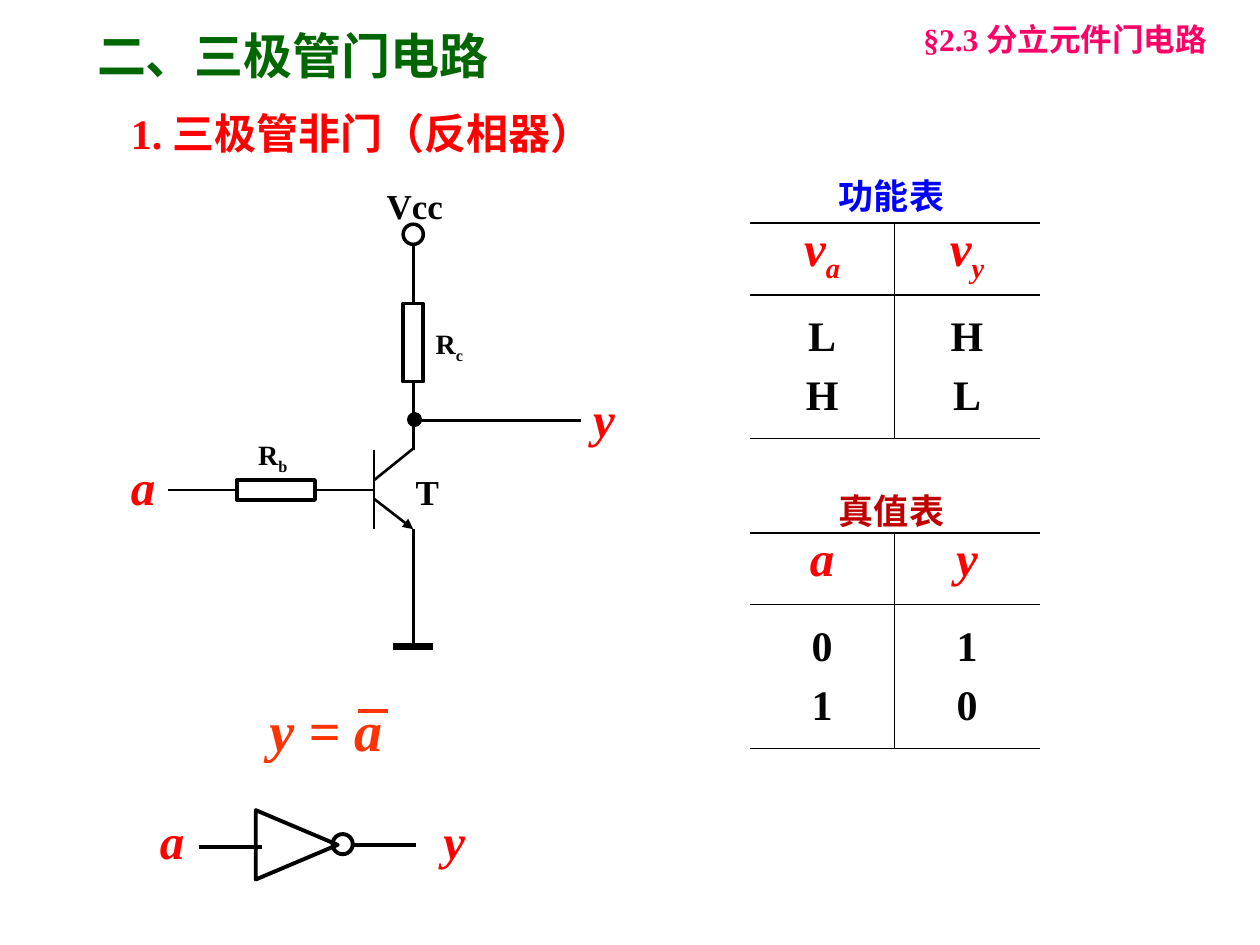
from lxml import etree
from pptx import Presentation
from pptx.dml.color import RGBColor
from pptx.enum.shapes import MSO_CONNECTOR, MSO_SHAPE
from pptx.enum.text import MSO_ANCHOR, PP_ALIGN
from pptx.oxml import parse_xml
from pptx.oxml.ns import nsdecls, qn
from pptx.util import Inches, Pt

COLORS = {"green": "006600", "red": "FF0000", "pink": "FF0066", "orange": "FF3300",
          "blue": "0000FF", "brick": "C00000", "ink": "040404",
          "black": "000000", "white": "FFFFFF"}
SERIF = "Times New Roman"


def rgb(name):
    return RGBColor.from_string(COLORS[name])


def write(tf, runs, size, color, italic=False, font=SERIF):
    """Fill the first paragraph; each run is (text, format overrides)."""
    p = tf.paragraphs[0]
    for text, extra in runs:
        r = p.add_run()
        r.text = text
        fmt = {"name": font, "size": Pt(size), "bold": True, "italic": italic}
        fmt.update(extra)
        for key, value in fmt.items():
            if key == "sub":
                r.font._element.set("baseline", "-25000")
            else:
                setattr(r.font, key, value)
        r.font.color.rgb = rgb(color)
    return p


SUB = {"sub": True}

prs = Presentation()
prs.slide_width, prs.slide_height = Inches(10), Inches(7.5)
s = prs.slides.add_slide(prs.slide_layouts[5])

# Title
sp = s.shapes.title
sp.left, sp.top, sp.width, sp.height = (Inches(v) for v in (0.67, 0.16, 5.27, 0.55))
sp.text_frame.vertical_anchor = MSO_ANCHOR.MIDDLE
write(sp.text_frame, [("二、三极管门电路", {})], 28, "green", font="Arial").alignment = PP_ALIGN.LEFT

# Wires: x1, y1, x2, y2, width, colour
wires = [
    (3.28, 4.2, 3.28, 5.14, 1.5, "black"),    # emitter to ground
    (3.28, 1.93, 3.28, 3.57, 1.5, "black"),   # supply to collector
    (2.97, 3.57, 2.97, 4.2, 1.5, "black"),    # transistor base bar
    (2.97, 3.81, 3.28, 3.56, 1.5, "black"),   # collector
    (2.97, 3.96, 3.28, 4.2, 1.5, "black"),    # emitter
    (1.33, 3.89, 2.97, 3.89, 1.5, "black"),   # input
    (3.12, 5.13, 3.44, 5.13, 4, "black"),     # ground
    (3.28, 3.34, 4.61, 3.34, 1.5, "black"),   # output
    (1.58, 6.72, 2.08, 6.72, 2.25, "black"),  # inverter input
    (2.81, 6.71, 3.3, 6.71, 2.25, "black"),   # inverter output
    (2.84, 5.64, 3.08, 5.64, 2.25, "orange"),  # bar over a
]
EMITTER = 4
for i, (x1, y1, x2, y2, width, color) in enumerate(wires):
    c = s.shapes.add_connector(MSO_CONNECTOR.STRAIGHT, *(Inches(v) for v in (x1, y1, x2, y2)))
    c.line.width = Pt(width)
    c.line.color.rgb = rgb(color)
    if i == EMITTER:
        etree.SubElement(c.line._get_or_add_ln(), qn("a:tailEnd"), type="triangle")
    etree.SubElement(c._element.spPr, qn("a:effectLst"))

# Components: preset, position and size, fill, line width, rotation
parts = [
    (MSO_SHAPE.RECTANGLE, (1.88, 3.81, 0.62, 0.16), "white", 2, 0),             # Rb
    (MSO_SHAPE.RECTANGLE, (3.2, 2.41, 0.16, 0.62), "white", 2, 0),              # Rc
    (MSO_SHAPE.OVAL, (3.23, 3.27, 0.12, 0.12), "black", None, 0),               # node
    (MSO_SHAPE.OVAL, (3.2, 1.78, 0.16, 0.16), "white", 2, 0),                   # supply
    (MSO_SHAPE.FLOWCHART_MERGE, (2.08, 6.38, 0.55, 0.65), None, 2.25, 270),     # inverter
    (MSO_SHAPE.OVAL, (2.64, 6.62, 0.16, 0.16), None, 2.25, 0),                  # bubble
]
for preset, box, fill, width, rotation in parts:
    sp = s.shapes.add_shape(preset, *(Inches(v) for v in box))
    sp.shadow.inherit = False
    sp.rotation = rotation
    if fill:
        sp.fill.solid()
        sp.fill.fore_color.rgb = rgb(fill)
    else:
        sp.fill.background()
    if width:
        sp.line.width = Pt(width)
        sp.line.color.rgb = rgb("black")
    else:
        sp.line.fill.background()

# Headings, labels and captions: position and size, runs, text size, colour, italic
labels = [
    ((0.94, 0.78, 5.27, 0.55), [("1. 三极管非门（反相器）", {})], 24, "red", False),
    ((7.23, 0.11, 2.74, 0.4), [("§2.3 ", {}), ("分立元件门电路", {"name": "Noto Sans CJK SC"})],
     18, "pink", False),
    ((2.97, 1.41, 0.65, 0.44), [("Vcc", {})], 20, "ink", False),
    ((3.2, 3.68, 0.39, 0.44), [("T", {})], 20, "ink", False),
    ((1.95, 3.44, 0.45, 0.37), [("R", {}), ("b", SUB)], 16, "ink", False),
    ((3.36, 2.56, 0.43, 0.37), [("R", {}), ("c", SUB)], 16, "ink", False),
    ((0.94, 3.57, 0.4, 0.57), [("a", {})], 28, "red", True),
    ((4.61, 3.03, 0.38, 0.57), [("y", {})], 28, "red", True),
    ((1.17, 6.38, 0.4, 0.57), [("a", {})], 28, "red", True),
    ((3.42, 6.38, 0.38, 0.57), [("y", {})], 28, "red", True),
    ((2.04, 5.47, 1.11, 0.64), [("y = a", {})], 32, "orange", True),
    ((6.56, 1.33, 1.05, 0.44), [("功能表", {})], 20, "blue", False),
    ((6.56, 3.83, 1.05, 0.44), [("真值表", {})], 20, "brick", False),
]
for box, runs, size, color, italic in labels:
    sp = s.shapes.add_textbox(*(Inches(v) for v in box))
    tf = sp.text_frame
    tf.word_wrap = box[2] > 2
    tf.vertical_anchor = MSO_ANCHOR.MIDDLE
    write(tf, runs, size, color, italic)

# Function table and truth table: top, header runs, body rows
tables = [
    (1.77, ([("v", {}), ("a", SUB)], [("v", {}), ("y", SUB)]), ("LH", "HL")),
    (4.23, ([("a", {})], [("y", {})]), ("01", "10")),
]
RULED = {(0, 0): "RTB", (0, 1): "LTB", (1, 0): "RT", (1, 1): "LT", (2, 0): "RB", (2, 1): "LB"}
ANCHORS = (MSO_ANCHOR.TOP, MSO_ANCHOR.BOTTOM, MSO_ANCHOR.TOP)
for top, header, body in tables:
    frame = s.shapes.add_table(3, 2, Inches(5.95), Inches(top), Inches(2.3), Inches(1.71))
    table = frame.table
    table.first_row = table.horz_banding = False
    rows = [header] + [[[(value, {})] for value in row] for row in body]
    for i, row in enumerate(rows):
        table.rows[i].height = Inches(0.57)
        for j, runs in enumerate(row):
            cell = table.cell(i, j)
            cell.margin_left = cell.margin_right = 0
            cell.margin_top = cell.margin_bottom = Inches(0.05 if i else 0)
            cell.vertical_anchor = ANCHORS[i]
            cell.fill.background()
            p = write(cell.text_frame, runs, 24 if i else 28, "ink" if i else "red", i == 0)
            p.alignment = PP_ALIGN.CENTER
            for k, side in enumerate("LRTB"):
                paint = "<a:noFill/>"
                if side in RULED[i, j]:
                    paint = f'<a:solidFill><a:srgbClr val="{COLORS["black"]}"/></a:solidFill>'
                ln = parse_xml(f'<a:ln{side} {nsdecls("a")} w="{Pt(1)}">{paint}</a:ln{side}>')
                cell._tc.get_or_add_tcPr().insert(k, ln)

prs.save("out.pptx")
